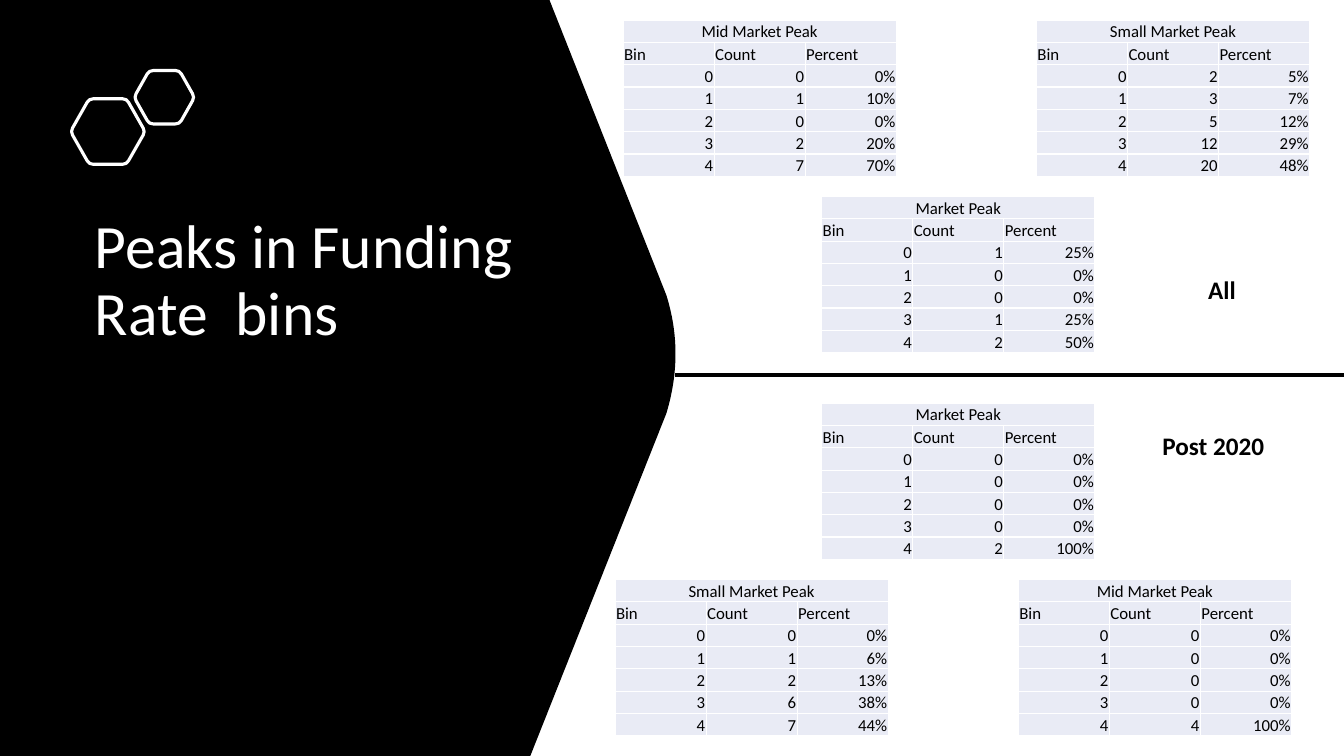
from pptx import Presentation
from pptx.dml.color import RGBColor
from pptx.enum.shapes import MSO_CONNECTOR
from pptx.enum.text import MSO_ANCHOR, MSO_AUTO_SIZE, PP_ALIGN
from pptx.oxml import parse_xml
from pptx.oxml.ns import nsdecls, qn
from pptx.util import Inches, Pt
from math import dist

FONT = "Calibri"
BLACK, WHITE, CELL_TINT = "000000", "FFFFFF", "E9EBF5"
HEADINGS = ("Bin", "Count", "Percent")
TABLE_WIDTH, TABLE_HEIGHT = 2.71, 1.55
CENTRE_LEFT = 8.15
TABLES = [
    ("Market Peak", CENTRE_LEFT, 1.95, [(1, 25), (0, 0), (0, 0), (1, 25), (2, 50)]),
    ("Mid Market Peak", 6.18, 0.2, [(0, 0), (1, 10), (0, 0), (2, 20), (7, 70)]),
    ("Small Market Peak", 10.28, 0.2, [(2, 5), (3, 7), (5, 12), (12, 29), (20, 48)]),
    ("Small Market Peak", 6.1, 5.75, [(0, 0), (1, 6), (2, 13), (6, 38), (7, 44)]),
    ("Mid Market Peak", 10.1, 5.75, [(0, 0), (0, 0), (0, 0), (0, 0), (4, 100)]),
    ("Market Peak", CENTRE_LEFT, 4, [(0, 0), (0, 0), (0, 0), (0, 0), (2, 100)]),
]


def colour(value):
    """Turn a hex string into a colour."""
    return RGBColor.from_string(value)


def style(paragraph, size, hue, align=PP_ALIGN.LEFT, bold=False):
    """Set the font and alignment of a paragraph."""
    paragraph.alignment = align
    paragraph.font.name = FONT
    paragraph.font.size = Pt(size)
    paragraph.font.bold = bold
    paragraph.font.color.rgb = colour(hue)


def toward(start, end, distance):
    """Find the point a given distance from start on the way to end."""
    share = distance / dist(start, end)
    return tuple(a + (b - a) * share for a, b in zip(start, end))


def outline(shapes, points, controls):
    """Draw a closed outline in inches, bending it at the points numbered in controls."""
    points = [(Inches(x), Inches(y)) for x, y in points]
    builder = shapes.build_freeform(*points[0])
    builder.add_line_segments(points[1:], close=True)
    shape = builder.convert_to_shape()
    shape.shadow.inherit = False
    segments = list(shape._element.iter(qn("a:lnTo")))
    for control in controls:
        bend, end = segments[control - 1], segments[control]
        quadratic = parse_xml(f"<a:quadBezTo {nsdecls('a')}/>")
        bend.addprevious(quadratic)
        for segment in (bend, end):
            quadratic.append(segment[0])
            segment.getparent().remove(segment)
    return shape


def add_panel(slide, width, height):
    """Draw the black panel with its rounded point on the right."""
    shoulder = width - 0.09
    points = [(0, 0), (5.45, 0), (shoulder, 2.93), (width, 3.22), (width, 3.51),
              (width, 3.8), (shoulder, 4.1), (5.26, height), (0, height)]
    panel = outline(slide.shapes, points, controls=(3, 5))
    panel.fill.solid()
    panel.fill.fore_color.rgb = colour(BLACK)
    panel.line.fill.background()


def add_hexagon(shapes, left, top, width, height):
    """Draw a white hexagon outline with rounded corners."""
    inset, radius = width / 4, 0.04
    right, bottom, middle = left + width, top + height, top + height / 2
    corners = [(left, middle), (left + inset, top), (right - inset, top),
               (right, middle), (right - inset, bottom), (left + inset, bottom)]
    points = []
    for i, corner in enumerate(corners):
        following = corners[(i + 1) % len(corners)]
        points += [toward(corner, corners[i - 1], radius), corner,
                   toward(corner, following, radius)]
    hexagon = outline(shapes, points, controls=range(1, len(points), 3))
    hexagon.fill.background()
    hexagon.line.color.rgb = colour(WHITE)
    hexagon.line.width = Pt(2.25)


def add_title(slide, left, top, width, height):
    """Place the slide title on the panel."""
    title = slide.shapes.title
    title.left, title.top = Inches(left), Inches(top)
    title.width, title.height = Inches(width), Inches(height)
    frame = title.text_frame
    frame.text = "Peaks in Funding Rate  bins"
    frame.word_wrap = True
    frame.auto_size = MSO_AUTO_SIZE.NONE
    frame.vertical_anchor = MSO_ANCHOR.BOTTOM
    frame.paragraphs[0].line_spacing = 0.9
    style(frame.paragraphs[0], 44, WHITE)


def add_peak_table(slide, heading, left, top, bins):
    """Place one table of counts and percentages by bin."""
    rows = [(heading,), HEADINGS]
    rows += [(str(i), str(count), f"{percent}%") for i, (count, percent) in enumerate(bins)]
    table = slide.shapes.add_table(len(rows), len(HEADINGS), Inches(left), Inches(top),
                                   Inches(TABLE_WIDTH), Inches(TABLE_HEIGHT)).table
    table.first_row = table.horz_banding = False
    table.cell(0, 0).merge(table.cell(0, len(HEADINGS) - 1))
    aligns = [PP_ALIGN.CENTER, PP_ALIGN.LEFT] + [PP_ALIGN.RIGHT] * len(bins)
    for r, (row, align) in enumerate(zip(rows, aligns)):
        for c, text in enumerate(row):
            cell = table.cell(r, c)
            cell.text = text
            cell.fill.solid()
            cell.fill.fore_color.rgb = colour(CELL_TINT)
            cell.vertical_anchor = MSO_ANCHOR.BOTTOM
            cell.margin_left = cell.margin_right = cell.margin_top = Inches(0.01)
            cell.margin_bottom = 0
            style(cell.text_frame.paragraphs[0], 12, BLACK, align)


def add_period(slide, text, left, top, align):
    """Label one half of the slide with its period."""
    period = slide.shapes.add_textbox(Inches(left), Inches(top), Inches(1.32), Inches(0.4))
    period.text_frame.word_wrap = True
    period.text_frame.auto_size = MSO_AUTO_SIZE.SHAPE_TO_FIT_TEXT
    period.text_frame.text = text
    style(period.text_frame.paragraphs[0], 18, BLACK, align, bold=True)


def add_divider(slide, left, right, y):
    """Draw the line between the two periods."""
    divider = slide.shapes.add_connector(MSO_CONNECTOR.STRAIGHT, Inches(left), Inches(y),
                                         Inches(right), Inches(y))
    divider.line.color.rgb = colour(BLACK)
    divider.line.width = Pt(2.25)
    divider._element.spPr.append(parse_xml(f"<a:effectLst {nsdecls('a')}/>"))


def main():
    """Build the slide and save it."""
    deck = Presentation()
    deck.slide_width, deck.slide_height = Inches(13.33), Inches(7.5)
    slide = deck.slides.add_slide(deck.slide_layouts[5])
    add_panel(slide, 6.7, 7.5)
    hexagons = slide.shapes.add_group_shape().shapes
    add_hexagon(hexagons, 0.7, 0.98, 0.74, 0.65)
    add_hexagon(hexagons, 1.33, 0.7, 0.6, 0.53)
    title = slide.shapes.title._element
    title.getparent().append(title)
    add_title(slide, 0.84, 1.63, 4.62, 1.88)
    for heading, left, top, bins in TABLES:
        add_peak_table(slide, heading, left, top, bins)
    add_period(slide, "Post 2020", 11.43, 4.22, PP_ALIGN.LEFT)
    add_period(slide, "All", 11.46, 2.67, PP_ALIGN.CENTER)
    add_divider(slide, 6.69, 13.33, 3.72)
    deck.save("out.pptx")


if __name__ == "__main__":
    main()
